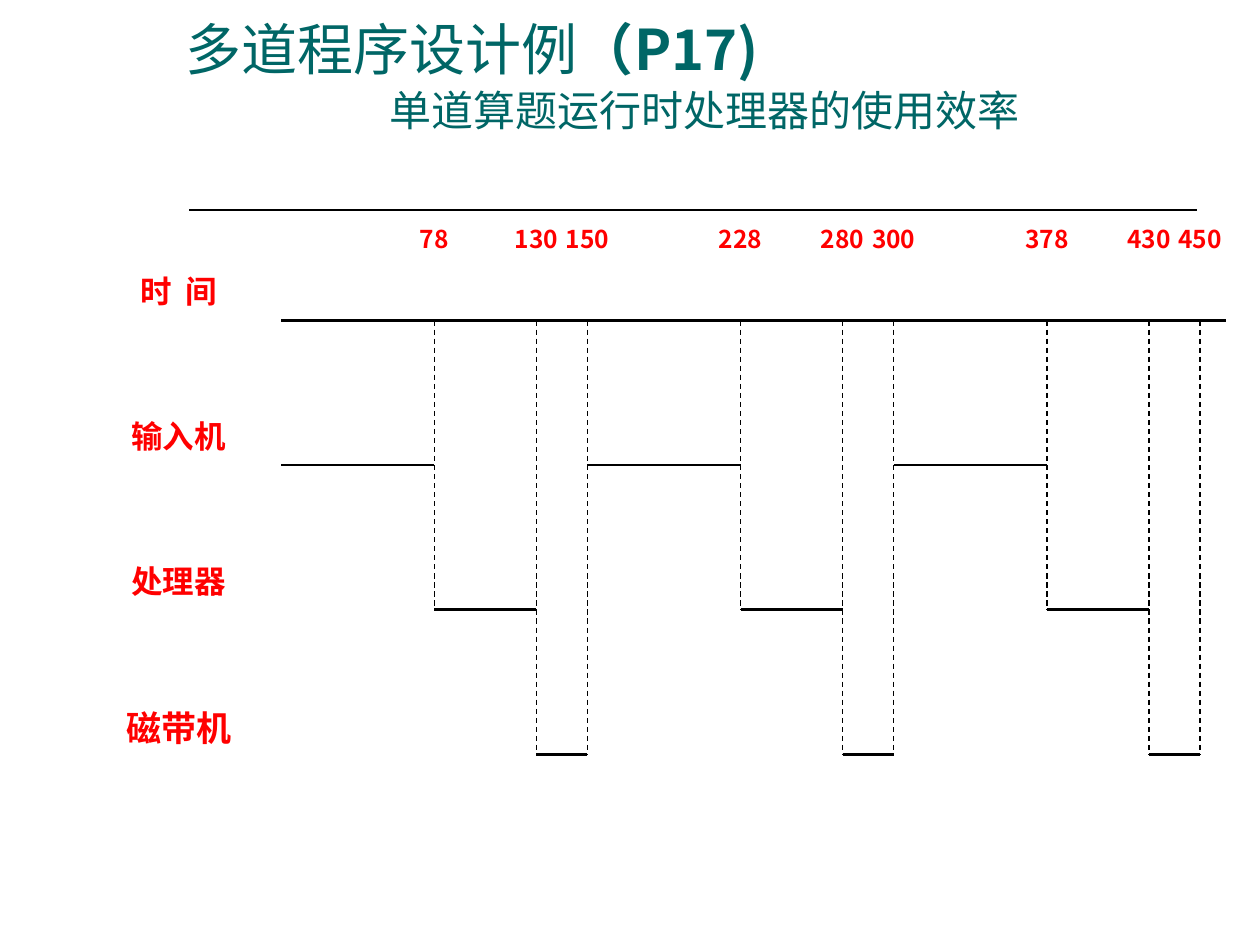
from lxml import etree
from pptx import Presentation
from pptx.dml.color import RGBColor
from pptx.enum.dml import MSO_LINE
from pptx.enum.shapes import MSO_CONNECTOR
from pptx.enum.text import PP_ALIGN
from pptx.oxml.ns import qn
from pptx.util import Pt

LINE = MSO_CONNECTOR.STRAIGHT
DASH = MSO_LINE.DASH
LEFT, CENTER = PP_ALIGN.LEFT, PP_ALIGN.CENTER


def color(code):
    return RGBColor.from_string(code)


def write(para, text, size=18, fill="FF0000", bold=True, gap=0):
    """Add a run; gap is the letter spacing in points."""
    run = para.add_run()
    run.text = text
    font = run.font
    font.size, font.bold, font.name = Pt(size), bold, Style.face
    font.color.rgb = color(fill)
    props = run._r.get_or_add_rPr()
    etree.SubElement(props, qn("a:ea"), typeface=Style.face)
    if gap:
        props.set("spc", str(gap * 100))


class Style:
    face = "Noto Sans CJK SC"
    teal = "006666"
    black = "000000"

    def __init__(self, slide):
        self.shapes = slide.shapes

    def box(self, x, y, w, h, align=CENTER):
        """Add an empty text box and return its frame."""
        frame = self.shapes.add_textbox(Pt(x), Pt(y), Pt(w), Pt(h)).text_frame
        frame.word_wrap = True
        frame.margin_left = frame.margin_right = 0
        frame.margin_top = frame.margin_bottom = 0
        frame.paragraphs[0].alignment = align
        return frame

    def label(self, text, x, y, w, **form):
        write(self.box(x, y, w, 54.7).paragraphs[0], text, **form)

    def line(self, x1, y1, x2, y2, width=1.5, dash=None):
        rule = self.shapes.add_connector(LINE, Pt(x1), Pt(y1), Pt(x2), Pt(y2))
        rule.line.width = Pt(width)
        rule.line.color.rgb = color(self.black)
        if dash:
            rule.line.dash_style = dash
        etree.SubElement(rule._element.spPr, qn("a:effectLst"))

    def title(self):
        frame = self.box(106, 8.2, 610, 90, LEFT)
        head = frame.paragraphs[0]
        write(head, "多道程序设计例", size=32, fill=self.teal, bold=False)
        write(head, "（P17)", size=32, fill=self.teal)
        sub = frame.add_paragraph()
        sub.alignment = LEFT
        sub.space_before = Pt(1.5)
        sub._p.get_or_add_pPr().set("indent", str(Pt(116.5)))
        write(sub, "单道算题运行时处理器的使用效率", size=24, fill=self.teal, bold=False)


def main():
    deck = Presentation()
    deck.slide_width, deck.slide_height = Pt(720), Pt(540)
    page = Style(deck.slides.add_slide(deck.slide_layouts[6]))
    page.line(108, 120.2, 684, 120.2, width=1)
    page.title()

    # One cycle: input takes 3 units, processor 2, tape 1.
    left, top, unit, step = 160.7, 183.2, 29.17, 82.6
    spans = [3, 2, 1]
    ends = [2, 3, 3]  # row where each dashed line stops

    rows = [("时 间", 18, 2), ("输入机", 18, 0), ("处理器", 18, 0), ("磁带机", 20, 0)]
    for row, (name, size, gap) in enumerate(rows):
        page.label(name, 58.3, top - 27.5 + row * step, 87.5, size=size, gap=gap)
    page.line(left, top, left + 18.5 * unit, top)

    x = left
    for start in (0, 150, 300):
        for row, (time, span, end) in enumerate(zip((78, 130, 150), spans, ends), 1):
            y, right = top + row * step, x + span * unit
            page.line(x, y, right, y)
            page.line(right, top, right, top + end * step, width=0.75, dash=DASH)
            page.label(str(start + time), right - unit / 2, 128.3, unit, size=14)
            x = right
    deck.save("out.pptx")


if __name__ == "__main__":
    main()
